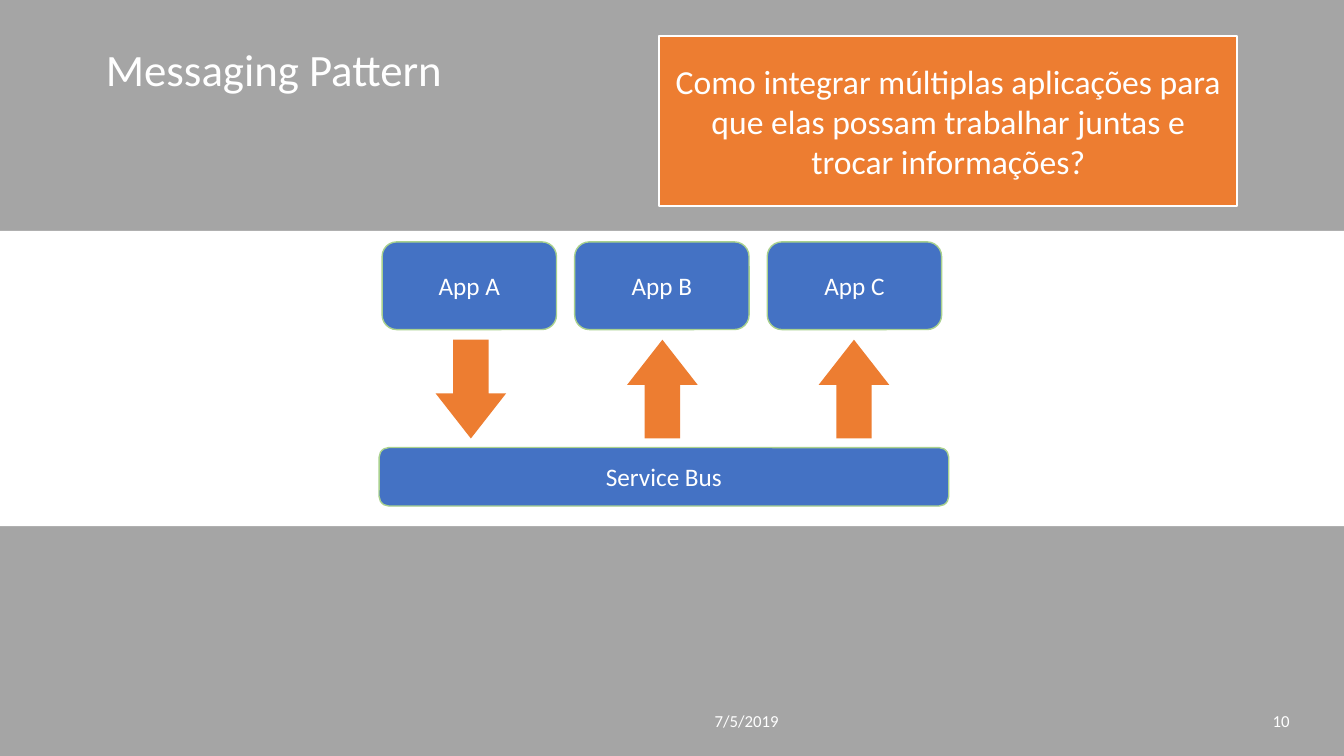
from pptx import Presentation
from pptx.dml.color import RGBColor
from pptx.enum import shapes, text
from pptx.util import Inches, Pt

GRAY, WHITE, ORANGE, BLUE, GREEN = "A5A5A5", "FFFFFF", "ED7D31", "4472C4", "A9D18E"
DOWN, UP = 90, 270
APPS = [("App A", DOWN), ("App B", UP), ("App C", UP)]
APP_LEFT, APP_PITCH = 3.79, 1.91
ARROW_LEFT, ARROW_PITCH = 4.18, 1.9


def paint(fill, color):
    fill.solid()
    fill.fore_color.rgb = RGBColor.from_string(color)


def write(frame, words, size, align, anchor=text.MSO_ANCHOR.MIDDLE):
    frame.word_wrap = True
    frame.auto_size = text.MSO_AUTO_SIZE.NONE
    frame.vertical_anchor = anchor
    frame.text = words
    paragraph = frame.paragraphs[0]
    paragraph.alignment = align
    paragraph.font.name = "Calibri"
    paragraph.font.size = Pt(size)
    paragraph.font.color.rgb = RGBColor.from_string(WHITE)


def add_block(slide, preset, box, color, outline=None, weight=1):
    block = slide.shapes.add_shape(preset, *map(Inches, box))
    block.shadow.inherit = False
    paint(block.fill, color)
    if outline:
        paint(block.line.fill, outline)
        block.line.width = Pt(weight)
    else:
        block.line.fill.background()
    return block


def add_node(slide, words, box):
    node = add_block(slide, shapes.MSO_SHAPE.ROUNDED_RECTANGLE, box, BLUE, GREEN)
    write(node.text_frame, words, 18, text.PP_ALIGN.CENTER)


def add_flow_arrow(slide, left, rotation):
    arrow = add_block(slide, shapes.MSO_SHAPE.RIGHT_ARROW, (left, 3.51, 0.98, 0.7), ORANGE)
    arrow.adjustments[0] = 0.5
    arrow.adjustments[1] = 0.64
    arrow.rotation = rotation


def add_footer(slide, words, left, align):
    footer = slide.shapes.add_textbox(*map(Inches, (left, 6.95, 3.11, 0.4)))
    write(footer.text_frame, words, 12, align)


def set_title(slide, words):
    title = slide.shapes.title
    title.left, title.top, title.width, title.height = map(Inches, (0.95, 0.36, 5.28, 0.61))
    write(title.text_frame, words, 32, text.PP_ALIGN.LEFT, text.MSO_ANCHOR.TOP)


def main():
    deck = Presentation()
    deck.slide_width, deck.slide_height = Inches(13.33), Inches(7.5)
    slide = deck.slides.add_slide(deck.slide_layouts[5])
    paint(slide.background.fill, GRAY)

    rectangle = shapes.MSO_SHAPE.RECTANGLE
    add_block(slide, rectangle, (0, 2.29, 13.33, 2.93), WHITE)
    set_title(slide, "Messaging Pattern")
    question = add_block(slide, rectangle, (6.54, 0.36, 5.73, 1.68), ORANGE, WHITE, 1.5)
    write(question.text_frame,
          "Como integrar múltiplas aplicações para que elas possam "
          "trabalhar juntas e trocar informações?",
          24, text.PP_ALIGN.CENTER)

    for column, (app, direction) in enumerate(APPS):
        add_node(slide, app, (APP_LEFT + column * APP_PITCH, 2.4, 1.73, 0.87))
        add_flow_arrow(slide, ARROW_LEFT + column * ARROW_PITCH, direction)
    add_node(slide, "Service Bus", (3.76, 4.44, 5.65, 0.58))

    add_footer(slide, "7/5/2019", 5.85, text.PP_ALIGN.CENTER)
    add_footer(slide, "10", 9.78, text.PP_ALIGN.RIGHT)
    deck.save("out.pptx")


if __name__ == "__main__":
    main()
